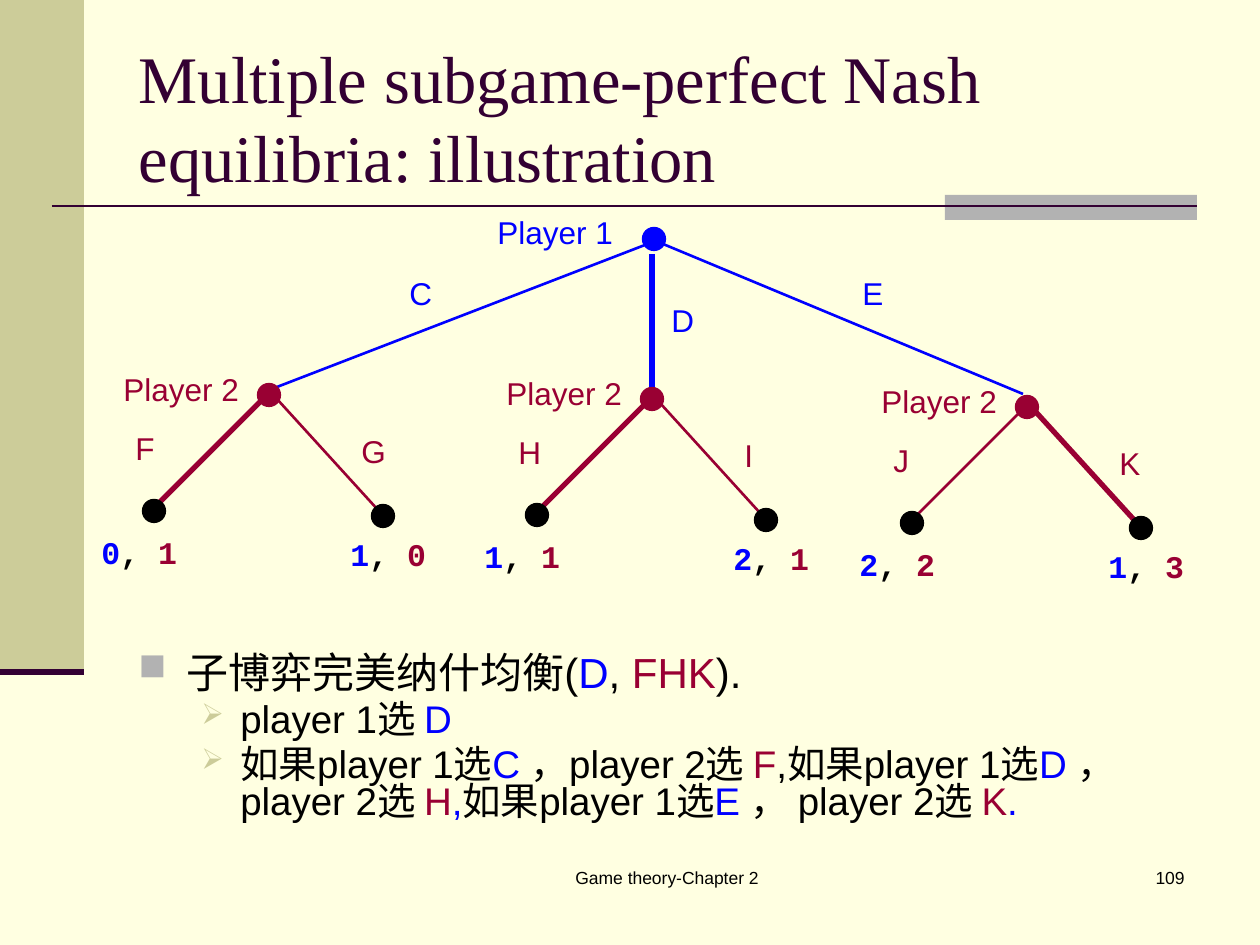
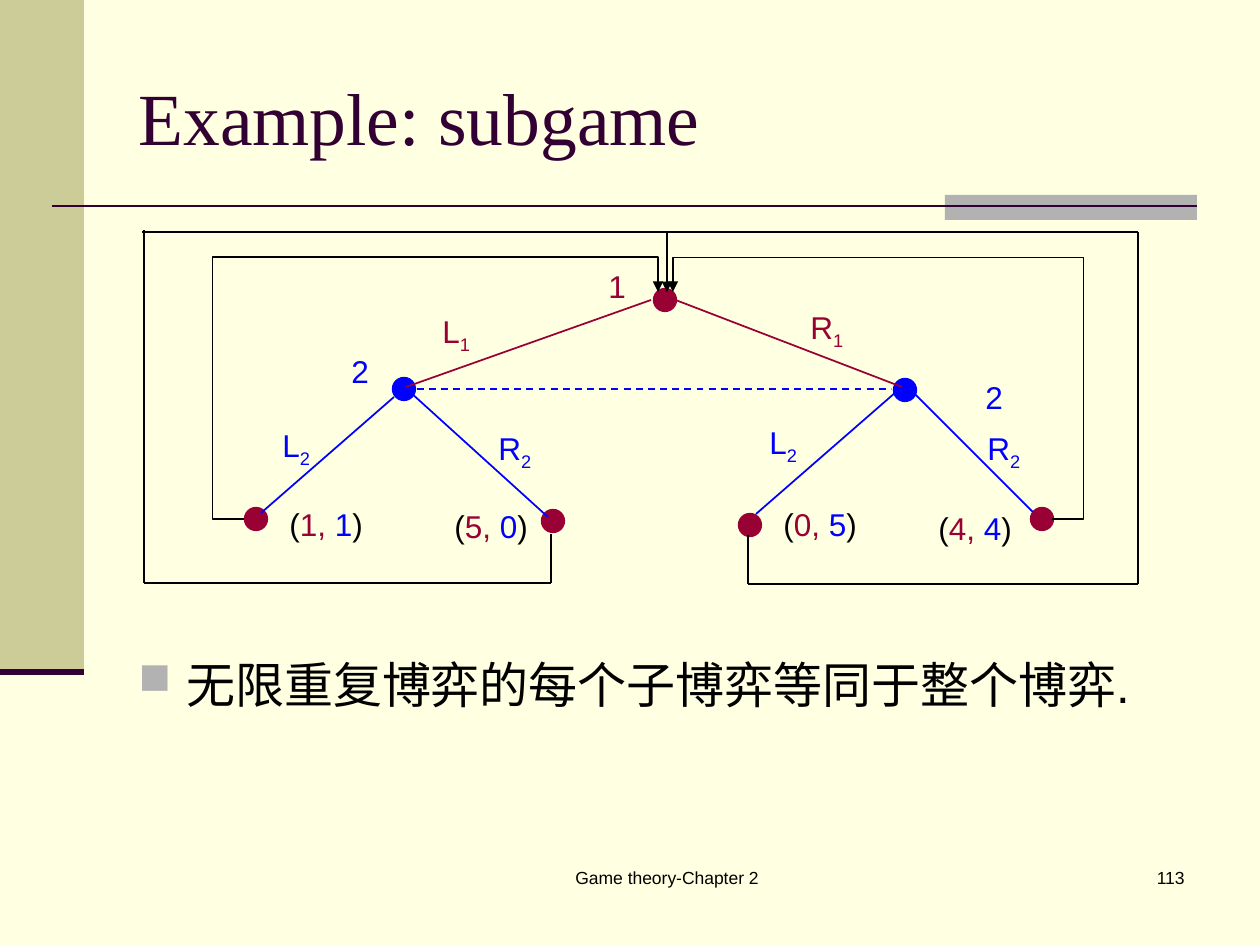
from pptx import Presentation
from pptx import util as u
from pptx.dml.color import RGBColor
from pptx.enum import dml, shapes, text
from pptx.oxml.ns import qn
from lxml import etree

BLUE, RED, BLACK = "0000FF", "990033", "000000"
PLUM, KHAKI, GREY, CREAM = "330033", "CCCC99", "B2B2B2", "FFFFE1"
SANS, SERIF, MONO = "Arial", "Times New Roman", "Courier New"
DOT = 23


def px(n):
    return u.Emu(round(n * 914400 / 126))


def rgb(color):
    return RGBColor.from_string(color)


def sub(parent, tag, **attrs):
    return etree.SubElement(parent, qn(tag), attrs)


def add_runs(p, runs, size, font=SANS, bold=False):
    for content, color, *subscript in runs:
        r = p.add_run()
        r.text = content
        r.font.name = font
        r.font.size = u.Pt(size)
        r.font.bold = bold
        r.font.color.rgb = rgb(color)
        if subscript:
            r.font._element.set("baseline", "-25000")


def add_box(s, x, y, w, h):
    tf = s.shapes.add_textbox(px(x), px(y), px(w), px(h)).text_frame
    tf.word_wrap = True
    return tf


def add_label(s, x, y, w, runs, size=18, font=SANS, bold=False, align=text.PP_ALIGN.LEFT):
    p = add_box(s, x, y, w, 50).paragraphs[0]
    p.alignment = align
    add_runs(p, runs, size, font, bold)


def add_block(s, kind, x, y, w, h, color, outlined=False):
    sp = s.shapes.add_shape(kind, px(x), px(y), px(w), px(h))
    sp.shadow.inherit = False
    sp.fill.solid()
    sp.fill.fore_color.rgb = rgb(color)
    if outlined:
        sp.line.color.rgb = rgb(color)
        sp.line.width = u.Pt(0.75)
    else:
        sp.line.fill.background()


def add_dot(s, x, y, color):
    add_block(s, shapes.MSO_SHAPE.OVAL, x - DOT / 2, y - DOT / 2, DOT, DOT, color, True)


def add_line(s, start, end, color, width, dashed=False, arrow=False, bend=None):
    kind = shapes.MSO_CONNECTOR.ELBOW if bend else shapes.MSO_CONNECTOR.STRAIGHT
    c = s.shapes.add_connector(kind, *map(px, start + end))
    c.line.color.rgb = rgb(color)
    c.line.width = u.Pt(width)
    if dashed:
        c.line.dash_style = dml.MSO_LINE.DASH
    if arrow:
        sub(c.line._get_or_add_ln(), "a:tailEnd", type="triangle")
    sp_pr = c._element.spPr
    if bend:
        geom = sp_pr.find(qn("a:prstGeom"))
        geom.set("prst", "bentConnector4")
        for guide in list(geom):
            geom.remove(guide)
        guides = sub(geom, "a:avLst")
        for i, value in enumerate(bend, 1):
            sub(guides, "a:gd", name=f"adj{i}", fmla=f"val {value}")
    sub(sp_pr, "a:effectLst")


def add_bullet(tf, runs, size, level=0, spacing=None):
    first = not tf.paragraphs[0].runs
    p = tf.paragraphs[0] if first else tf.add_paragraph()
    p.level = level
    margin, indent, char, color, scale = [
        (48, -48, "■", GREY, 90), (102, -39, "➢", KHAKI, 75)][level]
    p_pr = p._p.get_or_add_pPr()
    p_pr.set("marL", str(px(margin)))
    p_pr.set("indent", str(px(indent)))
    sub(sub(p_pr, "a:buClr"), "a:srgbClr", val=color)
    sub(p_pr, "a:buSzPct", val=str(scale * 1000))
    sub(p_pr, "a:buChar", char=char)
    if spacing:
        p.line_spacing = spacing
    if not first:
        p.space_before = u.Pt(size * 0.2)
    add_runs(p, runs, size)


def add_slide(prs, title, size, number):
    s = prs.slides.add_slide(prs.slide_layouts[5])
    s.background.fill.solid()
    s.background.fill.fore_color.rgb = rgb(CREAM)
    rect = shapes.MSO_SHAPE.RECTANGLE
    add_block(s, rect, 0, 0, 84, 672, KHAKI)
    add_block(s, rect, 945, 195, 252, 25, GREY)
    add_line(s, (52, 206), (1197, 206), PLUM, 1.5)
    add_line(s, (0, 672), (84, 672), PLUM, 3.5)
    add_label(s, 462, 861, 410, [("Game theory-Chapter 2", BLACK)], 10,
              align=text.PP_ALIGN.CENTER)
    add_label(s, 935, 861, 262, [(number, BLACK)], 10, align=text.PP_ALIGN.RIGHT)
    sp = s.shapes.title
    sp.left, sp.top, sp.width, sp.height = map(px, (126, 38, 1071, 157))
    tf = sp.text_frame
    tf.word_wrap = True
    tf.auto_size = text.MSO_AUTO_SIZE.NONE
    tf.vertical_anchor = text.MSO_ANCHOR.MIDDLE
    p = tf.paragraphs[0]
    p.alignment = text.PP_ALIGN.LEFT
    add_runs(p, [(title, PLUM)], size, SERIF)
    return s


def add_subgame(s, x, y, moves, payoffs, best):
    add_label(s, x - 158, y - 31, 147, [("Player 2", RED)])
    add_dot(s, x, y, RED)
    branches = [((-8, 6), (-114, 112), (-146, 28), (-115, 116), (-180, 132)),
                ((8, 4), (109, 115), (80, 31), (114, 121), (69, 134))]
    for move, payoff, (start, end, name, leaf, score) in zip(moves, payoffs, branches):
        add_line(s, (x + start[0], y + start[1]), (x + end[0], y + end[1]), RED,
                 3 if move == best else 1.5)
        add_label(s, x + name[0], y + name[1], 56, [(move, RED)])
        add_dot(s, x + leaf[0], y + leaf[1], BLACK)
        add_label(s, x + score[0], y + score[1], 106,
                  [(payoff[0], BLUE), (", ", BLACK), (payoff[1], RED)], font=MONO, bold=True)


def add_equilibria_slide(prs):
    s = add_slide(prs, "Multiple subgame-perfect Nash equilibria: illustration", 38, "109")
    tf = add_box(s, 126, 650, 1071, 194)
    add_bullet(tf, [("子博弈完美纳什均衡(", BLACK), ("D", BLUE), (", ", BLACK),
                    ("FHK", RED), (").", BLACK)], 24, spacing=0.8)
    add_bullet(tf, [("player 1选 ", BLACK), ("D", BLUE)], 22, 1, 0.8)
    add_bullet(tf, [("如果player 1选", BLACK), ("C", BLUE), (" ，player 2选 ", BLACK),
                    ("F", RED), (",如果player 1选", BLACK), ("D", BLUE),
                    (" ， player 2选 ", BLACK), ("H", RED), (",", BLUE),
                    ("如果player 1选", BLACK), ("E", BLUE), (" ， player 2选 ", BLACK),
                    ("K", RED), (".", BLUE)], 22, 1, 0.8)
    add_dot(s, 654, 239, BLUE)
    for start, end, width in [((645, 245), (277, 387), 1.5), ((663, 244), (1023, 394), 1.5),
                              ((652, 254), (652, 388), 3)]:
        add_line(s, start, end, BLUE, width)
    for name, x, y, w in [("Player 1", 485, 207, 149), ("C", 397, 268, 59),
                          ("D", 659, 295, 52), ("E", 850, 268, 52)]:
        add_label(s, x, y, w, [(name, BLUE)])
    for x, y, moves, payoffs, best in [(269, 395, "FG", ("01", "10"), "F"),
                                       (652, 399, "HI", ("11", "21"), "H"),
                                       (1027, 407, "JK", ("22", "13"), "K")]:
        add_subgame(s, x, y, moves, payoffs, best)


def add_repeated_game_slide(prs):
    s = add_slide(prs, "Example: subgame", 42, "113")
    tf = add_box(s, 126, 648, 1071, 198)
    add_bullet(tf, [("无限重复博弈的每个子博弈等同于整个博弈.", BLACK)], 28)
    for x, y, color in [(665, 300, RED), (404, 389, BLUE), (905, 390, BLUE), (256, 519, RED),
                        (553, 521, RED), (750, 525, RED), (1042, 519, RED)]:
        add_dot(s, x, y, color)
    for start, end, color in [((651, 300), (406, 387), RED), ((673, 299), (902, 387), RED),
                              ((394, 397), (261, 513), BLUE), ((410, 392), (548, 517), BLUE),
                              ((896, 392), (756, 514), BLUE), ((912, 391), (1033, 512), BLUE)]:
        add_line(s, start, end, color, 1)
    add_line(s, (417, 389), (891, 389), BLUE, 1, dashed=True)
    for player, x, y, color in [("1", 596, 261, RED), ("2", 339, 346, BLUE),
                                ("2", 973, 372, BLUE)]:
        add_label(s, x, y, 55, [(player, color)])
    for move, stage, x, y, color in [("L", "1", 430, 306, RED), ("R", "1", 798, 302, RED),
                                     ("L", "2", 270, 420, BLUE), ("R", "2", 486, 423, BLUE),
                                     ("L", "2", 757, 417, BLUE), ("R", "2", 975, 423, BLUE)]:
        add_label(s, x, y, 66, [(move, color), (stage, color, True)])
    for first, second, x, y in [("1", "1", 277, 499), ("5", "0", 442, 501),
                                ("0", "5", 771, 499), ("4", "4", 926, 503)]:
        add_label(s, x, y, 106, [("(", BLACK), (first + ", ", RED), (second, BLUE), (")", BLACK)])
    add_line(s, (244, 519), (658, 292), BLACK, 0.75, arrow=True, bend=(-7600, 115400))
    add_line(s, (1052, 519), (673, 292), BLACK, 0.75, arrow=True, bend=(-8300, 115300))
    for start, end in [((144, 583), (551, 583)), ((551, 534), (551, 583)),
                       ((748, 584), (1138, 584)), ((748, 535), (748, 584)),
                       ((1138, 584), (1138, 232)), ((1138, 232), (142, 232)),
                       ((144, 583), (144, 230))]:
        add_line(s, start, end, BLACK, 0.75)
    add_line(s, (667, 232), (667, 292), BLACK, 0.75, arrow=True)


def main():
    prs = Presentation()
    prs.slide_width, prs.slide_height = px(1260), px(945)
    add_equilibria_slide(prs)
    add_repeated_game_slide(prs)
    prs.save("out.pptx")


if __name__ == "__main__":
    main()
